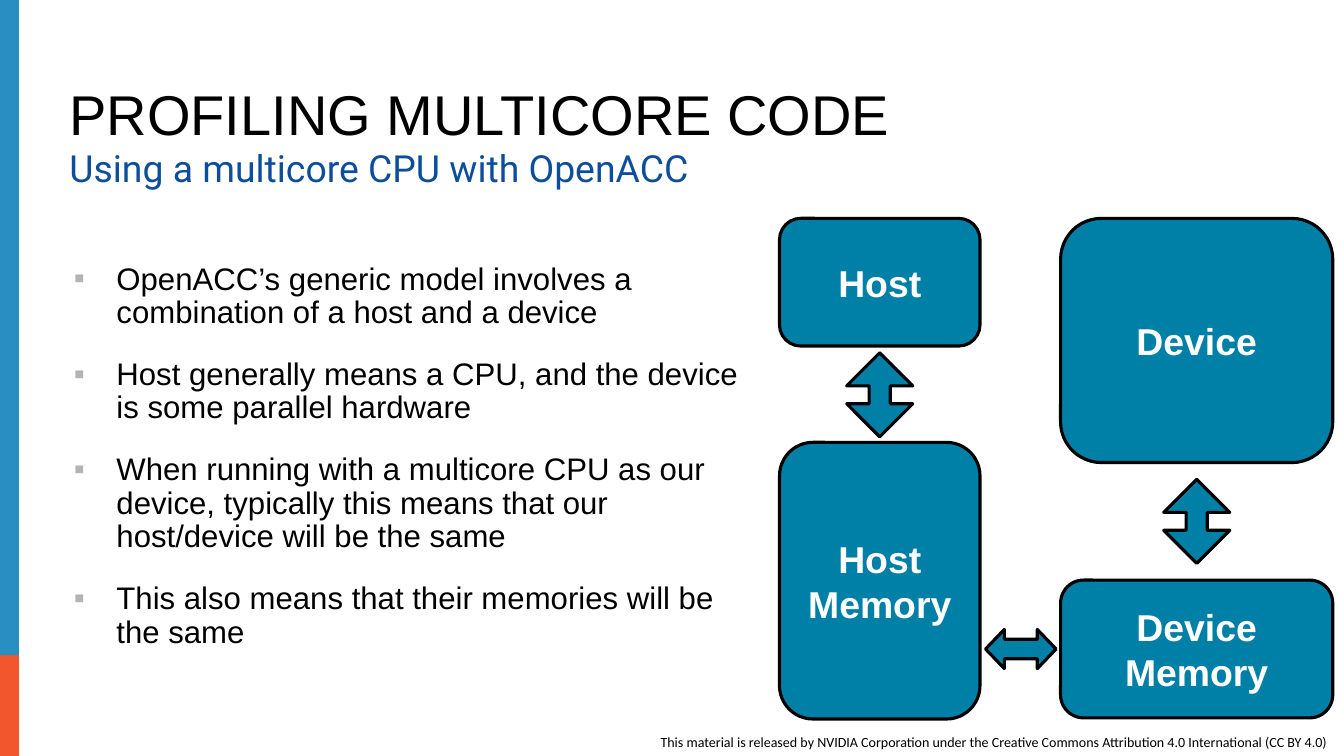
from typing import NamedTuple

from lxml.etree import SubElement
from pptx import Presentation
from pptx.dml.color import RGBColor
from pptx.enum.shapes import MSO_SHAPE
from pptx.enum.text import MSO_ANCHOR, MSO_AUTO_SIZE, PP_ALIGN
from pptx.oxml.ns import qn
from pptx.util import Inches, Pt

BLACK = RGBColor(0x00, 0x00, 0x00)
WHITE = RGBColor(0xFF, 0xFF, 0xFF)
TEAL = RGBColor(0x00, 0x80, 0xA7)
NAVY = RGBColor(0x0C, 0x4E, 0x9B)
BLUE = RGBColor(0x29, 0x8E, 0xC2)
RED = RGBColor(0xF1, 0x56, 0x2D)
GREY = "B3B3B3"


class Area(NamedTuple):
    left: float
    top: float
    width: float
    height: float


class Block(NamedTuple):
    label: str
    area: Area


class Arrow(NamedTuple):
    kind: MSO_SHAPE
    area: Area
    head: float


# Columns of the diagram: left edge and width
HOST = (6.96, 1.79)
DEVICE = (9.47, 2.43)

BLOCKS = [
    Block("Host", Area(HOST[0], 1.95, HOST[1], 1.14)),
    Block("Device", Area(DEVICE[0], 1.95, DEVICE[1], 2.18)),
    Block("Host Memory", Area(HOST[0], 3.95, HOST[1], 2.47)),
    Block("Device Memory", Area(DEVICE[0], 5.18, DEVICE[1], 1.23)),
]
ARROWS = [
    Arrow(MSO_SHAPE.UP_DOWN_ARROW, Area(7.56, 3.15, 0.59, 0.75), 0.32),
    Arrow(MSO_SHAPE.UP_DOWN_ARROW, Area(10.39, 4.28, 0.59, 0.75), 0.32),
    Arrow(MSO_SHAPE.LEFT_RIGHT_ARROW, Area(8.8, 5.62, 0.63, 0.35), 0.48),
]
POINTS = [
    "OpenACC’s generic model involves a combination of a host and a device",
    "Host generally means a CPU, and the device is some parallel hardware",
    "When running with a multicore CPU as our device, typically this means "
    "that our host/device will be the same",
    "This also means that their memories will be the same",
]
CREDIT = ("This material is released by NVIDIA Corporation under the Creative "
          "Commons Attribution 4.0 International (CC BY 4.0)")


def place(area: Area) -> list:
    return [Inches(n) for n in area]


def style(para, size: float, font: str, color: RGBColor, bold=False) -> None:
    for run in para.runs:
        run.font.size = Pt(size)
        run.font.name = font
        run.font.bold = bold
        run.font.color.rgb = color


def fill_holder(holder, area: Area, lines: list[str], size: float, font: str,
                color: RGBColor, anchor=MSO_ANCHOR.TOP, gap=9) -> list:
    """Move a placeholder, write its lines and return its paragraphs."""
    holder.left, holder.top, holder.width, holder.height = place(area)
    frame = holder.text_frame
    frame.text = "\n".join(lines)
    frame.word_wrap = True
    frame.auto_size = MSO_AUTO_SIZE.NONE
    frame.vertical_anchor = anchor
    for i, para in enumerate(frame.paragraphs):
        para.alignment = PP_ALIGN.LEFT
        para.line_spacing = 0.9
        para.space_before = Pt(gap if i else 0)
        para.space_after = Pt(gap)
        style(para, size, font, color)
    return list(frame.paragraphs)


def set_bullet(para, char: str = "") -> None:
    props = para._p.get_or_add_pPr()
    indent = Inches(0.38) if char else 0
    props.set("marL", str(indent))
    props.set("indent", str(-indent))
    if char:
        tint = SubElement(props, qn("a:buClr"))
        SubElement(tint, qn("a:srgbClr")).set("val", GREY)
        SubElement(props, qn("a:buFont")).set("typeface", "Arial")
        SubElement(props, qn("a:buChar")).set("char", char)
    else:
        SubElement(props, qn("a:buNone"))


def add_shape(slide, kind: MSO_SHAPE, area: Area, color: RGBColor,
              edge: bool = True):
    shape = slide.shapes.add_shape(kind, *place(area))
    shape.shadow.inherit = False
    shape.fill.solid()
    shape.fill.fore_color.rgb = color
    if edge:
        shape.line.color.rgb = BLACK
        shape.line.width = Pt(2)
    else:
        shape.line.fill.background()
    return shape


def add_block(slide, block: Block) -> None:
    shape = add_shape(slide, MSO_SHAPE.ROUNDED_RECTANGLE, block.area, TEAL)
    frame = shape.text_frame
    frame.text = block.label
    frame.word_wrap = True
    frame.vertical_anchor = MSO_ANCHOR.MIDDLE
    frame.paragraphs[0].alignment = PP_ALIGN.CENTER
    style(frame.paragraphs[0], 24, "Arial", WHITE, bold=True)


def add_arrow(slide, arrow: Arrow) -> None:
    shape = add_shape(slide, arrow.kind, arrow.area, TEAL)
    shape.adjustments[0] = 0.5
    shape.adjustments[1] = arrow.head


def main() -> None:
    deck = Presentation()
    deck.slide_width, deck.slide_height = Inches(12), Inches(6.75)
    slide = deck.slides.add_slide(deck.slide_layouts[3])
    title, body, sub = slide.placeholders

    # Side bar
    add_shape(slide, MSO_SHAPE.RECTANGLE, Area(0, 5.85, 0.17, 0.9), RED, False)
    add_shape(slide, MSO_SHAPE.RECTANGLE, Area(0, 0, 0.17, 5.85), BLUE, False)

    # Licence line
    box = slide.shapes.add_textbox(*place(Area(5.8, 6.5, 6.2, 0.25)))
    box.text_frame.text = CREDIT
    box.text_frame.word_wrap = False
    style(box.text_frame.paragraphs[0], 9, "Calibri", BLACK)

    # Title, subtitle and list
    fill_holder(title, Area(0.52, 0.69, 9.04, 0.68),
                ["PROFILING MULTICORE CODE"], 36, "Arial", BLACK,
                MSO_ANCHOR.BOTTOM, gap=0)
    for para in fill_holder(sub, Area(0.52, 1.29, 10.13, 0.57),
                            ["Using a multicore CPU with OpenACC"],
                            24, "Roboto", NAVY):
        set_bullet(para)
    for para in fill_holder(body, Area(0.56, 2.3, 6.18, 4.04), POINTS,
                            20, "Arial", BLACK):
        set_bullet(para, "▪")

    # Diagram
    for block in BLOCKS:
        add_block(slide, block)
    for arrow in ARROWS:
        add_arrow(slide, arrow)

    deck.save("out.pptx")


if __name__ == "__main__":
    main()
